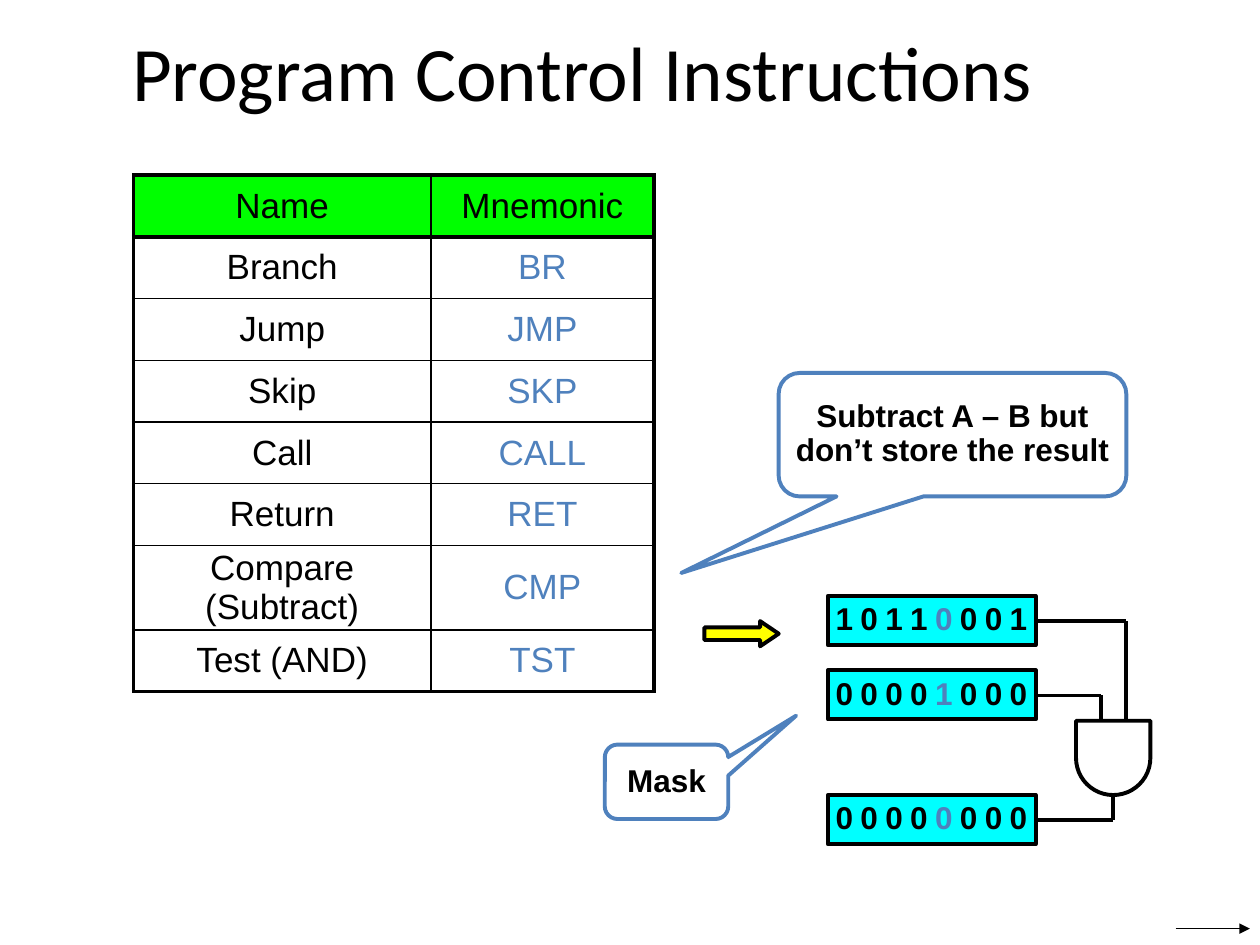
from pptx import Presentation
from pptx.dml.color import RGBColor
from pptx.enum import shapes, text
from pptx.oxml import ns
from pptx.util import Inches, Pt
from lxml import etree

BLACK, BLUE, GREEN, CYAN, YELLOW = "000000", "4F81BD", "00FF00", "00FFFF", "FFFF00"
SHAPE = shapes.MSO_SHAPE


def rgb(value):
    return RGBColor.from_string(value)


class SlideBuilder:
    font = "Arial"
    line_width = 2.25
    bit_width = 0.2
    bit_pitch = 1.58 / 8

    def __init__(self, prs):
        self.s = prs.slides.add_slide(prs.slide_layouts[5])

    def label(self, tf, content, size, color=BLACK, bold=False,
              align=text.PP_ALIGN.CENTER, spacing=0.9):
        tf.word_wrap = True
        p = tf.paragraphs[0]
        p.text = content
        p.alignment = align
        p.line_spacing = spacing
        p.font.name = self.font
        p.font.size = Pt(size)
        p.font.bold = bold
        p.font.color.rgb = rgb(color)

    def clear_margins(self, box):
        box.margin_left = box.margin_right = box.margin_top = box.margin_bottom = 0
        box.vertical_anchor = text.MSO_ANCHOR.MIDDLE

    def title(self, content, x, y, w, h):
        sp = self.s.shapes.title
        sp.left, sp.top, sp.width, sp.height = map(Inches, (x, y, w, h))
        sp.text_frame.text = content
        p = sp.text_frame.paragraphs[0]
        p.alignment = text.PP_ALIGN.CENTER
        p.font.name = "Calibri"
        p.font.size = Pt(44)
        p.font.color.rgb = rgb(BLACK)

    def shape(self, kind, x, y, w, h, fill=None, line=BLACK, adjust=()):
        sp = self.s.shapes.add_shape(kind, *map(Inches, (x, y, w, h)))
        sp.shadow.inherit = False
        if fill:
            sp.fill.solid()
            sp.fill.fore_color.rgb = rgb(fill)
        else:
            sp.fill.background()
        sp.line.color.rgb = rgb(line)
        sp.line.width = Pt(self.line_width)
        for i, value in enumerate(adjust):
            sp.adjustments[i] = value
        return sp

    def callout(self, content, x, y, w, h, tip):
        sp = self.shape(SHAPE.ROUNDED_RECTANGULAR_CALLOUT, x, y, w, h,
                        line=BLUE, adjust=(*tip, 0.17))
        self.clear_margins(sp.text_frame)
        self.label(sp.text_frame, content, 18, bold=True)

    def register(self, bits, x, y, w, h, marked):
        self.shape(SHAPE.RECTANGLE, x, y, w, h, fill=CYAN)
        group = self.s.shapes.add_group_shape()
        for i, bit in enumerate(bits):
            left = x + i * self.bit_pitch
            sp = group.shapes.add_textbox(*map(Inches, (left, y, self.bit_width, h)))
            self.clear_margins(sp.text_frame)
            self.label(sp.text_frame, bit, 18, BLUE if i == marked else BLACK,
                       bold=True, align=text.PP_ALIGN.RIGHT)

    def line(self, start, end, width=None, arrow=False):
        sp = self.s.shapes.add_connector(shapes.MSO_CONNECTOR.STRAIGHT,
                                         *map(Inches, (*start, *end)))
        sp.line.color.rgb = rgb(BLACK)
        sp.line.width = Pt(width or self.line_width)
        if arrow:
            ln = sp._element.spPr.find(ns.qn("a:ln"))
            etree.SubElement(ln, ns.qn("a:tailEnd"), type="triangle")
        etree.SubElement(sp._element.spPr, ns.qn("a:effectLst"))

    def wire(self, *points):
        for start, end in zip(points, points[1:]):
            self.line(start, end)

    def border(self, cell, side, width):
        ln = etree.SubElement(cell._tc.get_or_add_tcPr(), ns.qn("a:ln" + side),
                              w=str(Pt(width)))
        fill = etree.SubElement(ln, ns.qn("a:solidFill"))
        etree.SubElement(fill, ns.qn("a:srgbClr"), val=BLACK)

    def table(self, rows, x, y, widths, heights):
        size = (x, y, sum(widths), sum(heights))
        table = self.s.shapes.add_table(len(rows), len(widths), *map(Inches, size)).table
        table.first_row = table.horz_banding = False
        for column, width in zip(table.columns, widths):
            column.width = Inches(width)
        last_row, last_col = len(rows) - 1, len(widths) - 1
        for r, row in enumerate(rows):
            table.rows[r].height = Inches(heights[r])
            for c, content in enumerate(row):
                cell = table.cell(r, c)
                self.clear_margins(cell)
                color = BLUE if r and c else BLACK
                self.label(cell.text_frame, content, 20, color, spacing=1.0)
                thick = {"L": c == 0, "R": c == last_col,
                         "T": r <= 1, "B": r in (0, last_row)}
                for side, heavy in thick.items():
                    self.border(cell, side, self.line_width if heavy else 1)
                if r:
                    cell.fill.background()
                else:
                    cell.fill.solid()
                    cell.fill.fore_color.rgb = rgb(GREEN)


def main():
    prs = Presentation()
    prs.slide_width, prs.slide_height = Inches(10), Inches(7.5)
    slide = SlideBuilder(prs)
    slide.title("Program Control Instructions", 0.5, 0.13, 8.25, 0.87)
    instructions = [
        ("Name", "Mnemonic"),
        ("Branch", "BR"),
        ("Jump", "JMP"),
        ("Skip", "SKP"),
        ("Call", "CALL"),
        ("Return", "RET"),
        ("Compare (Subtract)", "CMP"),
        ("Test (AND)", "TST"),
    ]
    slide.table(instructions, 1.06, 1.39, (2.36, 1.77), [0.49] * 6 + [0.67, 0.49])
    slide.callout("Subtract A – B but don’t store the result",
                  6.18, 2.96, 2.76, 0.98, (-0.78, 1.12))

    for bits, top in (("10110001", 4.73), ("00001000", 5.32), ("00000000", 6.31)):
        slide.register(bits, 6.57, top, 1.65, 0.39, marked=4)
    gate = slide.shape(SHAPE.FLOWCHART_DELAY, 8.54, 5.72, 0.59, 0.59)
    gate.rotation = 90
    slide.wire((8.22, 4.93), (8.94, 4.93), (8.94, 5.72))
    slide.wire((8.22, 5.52), (8.74, 5.52), (8.74, 5.72))
    slide.wire((8.22, 6.51), (8.83, 6.51), (8.83, 6.31))

    slide.callout("Mask", 4.8, 5.91, 0.98, 0.59, (1.05, -0.89))
    slide.line((9.33, 7.37), (9.92, 7.37), width=0.75, arrow=True)
    slide.shape(SHAPE.RIGHT_ARROW, 5.59, 4.93, 0.59, 0.2, fill=YELLOW, adjust=(0.5, 0.74))
    prs.save("out.pptx")


if __name__ == "__main__":
    main()
